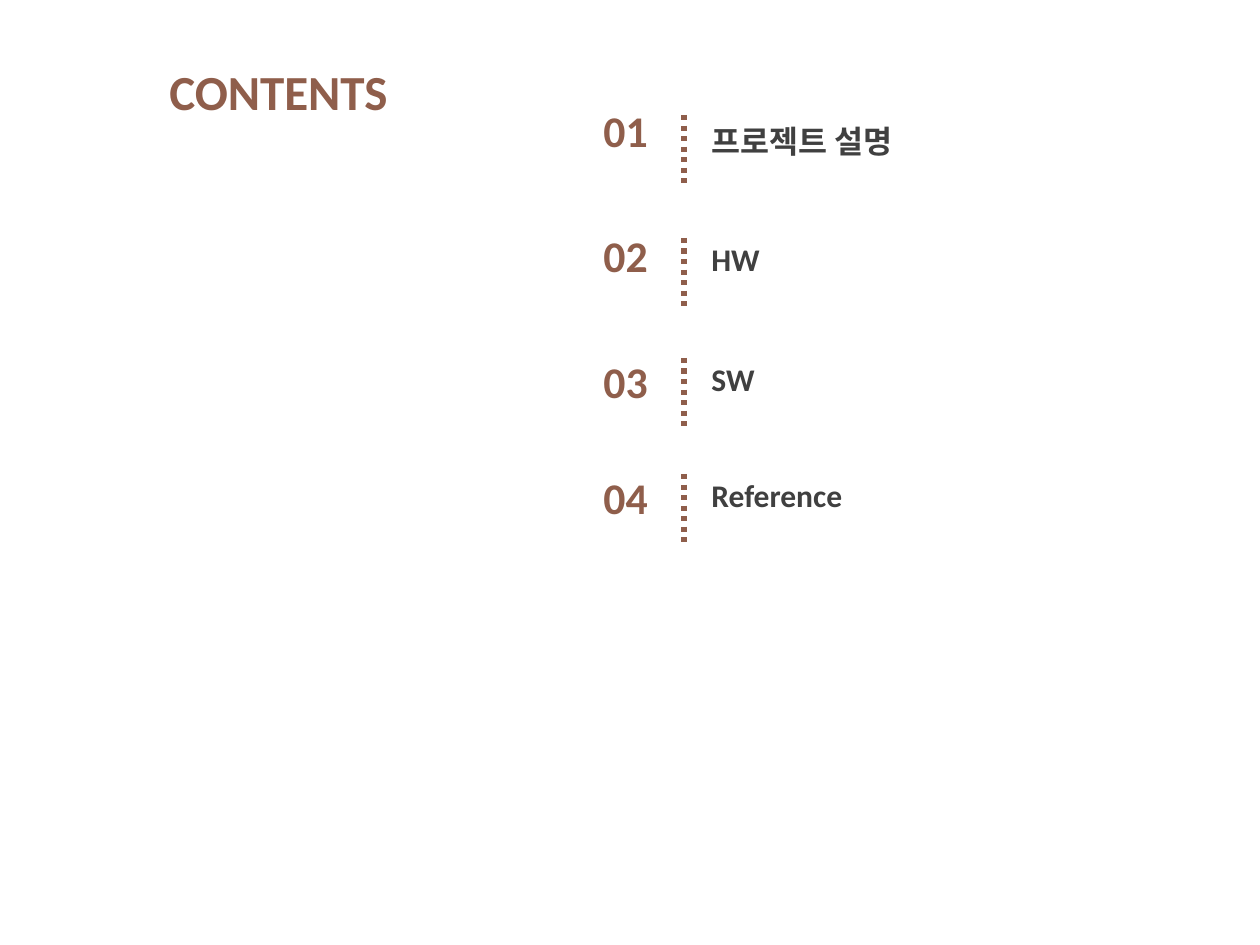
"""Build a contents slide with four numbered entries."""
from lxml.etree import SubElement
from pptx import Presentation
from pptx.dml.color import RGBColor
from pptx.enum.dml import MSO_LINE as Dash
from pptx.enum.shapes import MSO_CONNECTOR as Link
from pptx.enum.text import MSO_ANCHOR as Anchor, MSO_AUTO_SIZE as Fit, PP_ALIGN as Align
from pptx.oxml.ns import qn
from pptx.util import Emu, Pt

SCALE = 914400 / 126
BROWN = RGBColor(0x8F, 0x5E, 0x4B)
GRAY = RGBColor(0x40, 0x40, 0x40)
ITEMS = [
    ("프로젝트 설명", 116, 98, 115),
    ("HW", 234, 223, 238),
    ("SW", 354, 349, 358),
    ("Reference", 470, 465, 474),
]


def px(*nums):
    return [Emu(round(n * SCALE)) for n in nums]


def set_all(obj, attrs):
    for name, value in attrs.items():
        setattr(obj, name, value)


def write(shape, text, size, color, wrap=True, align=Align.LEFT):
    frame = shape.text_frame
    frame.text = text
    set_all(frame, {"word_wrap": wrap, "auto_size": Fit.SHAPE_TO_FIT_TEXT,
                    "vertical_anchor": Anchor.TOP})
    para = frame.paragraphs[0]
    para.alignment = align
    font = para.runs[0].font
    set_all(font, {"name": "Calibri", "size": Pt(size), "bold": True})
    font.color.rgb = color


def add_title(slide):
    title = slide.shapes.title
    set_all(title, dict(zip(("left", "top", "width", "height"), px(-44, 55, 645, 72))))
    write(title, "CONTENTS", 28, BROWN, align=Align.CENTER)


def add_rule(shapes, top):
    rule = shapes.add_connector(Link.STRAIGHT, *px(684, top, 684, top + 69))
    set_all(rule.line, {"width": Pt(3), "dash_style": Dash.ROUND_DOT})
    rule.line.color.rgb = BROWN
    SubElement(rule._element.spPr, qn("a:effectLst"))


def add_item(slide, num, label, label_top, num_top, rule_top):
    shapes = slide.shapes.add_group_shape().shapes
    write(shapes.add_textbox(*px(699, label_top, 407, 50)), label, 18, GRAY)
    write(shapes.add_textbox(*px(591, num_top, 71, 65)), f"{num:02}", 25, BROWN, wrap=False)
    add_rule(shapes, rule_top)


def main():
    deck = Presentation()
    deck.slide_width, deck.slide_height = px(1260, 945)
    slide = deck.slides.add_slide(deck.slide_layouts[5])
    add_title(slide)
    for num, item in enumerate(ITEMS, 1):
        add_item(slide, num, *item)
    deck.save("out.pptx")


if __name__ == "__main__":
    main()
